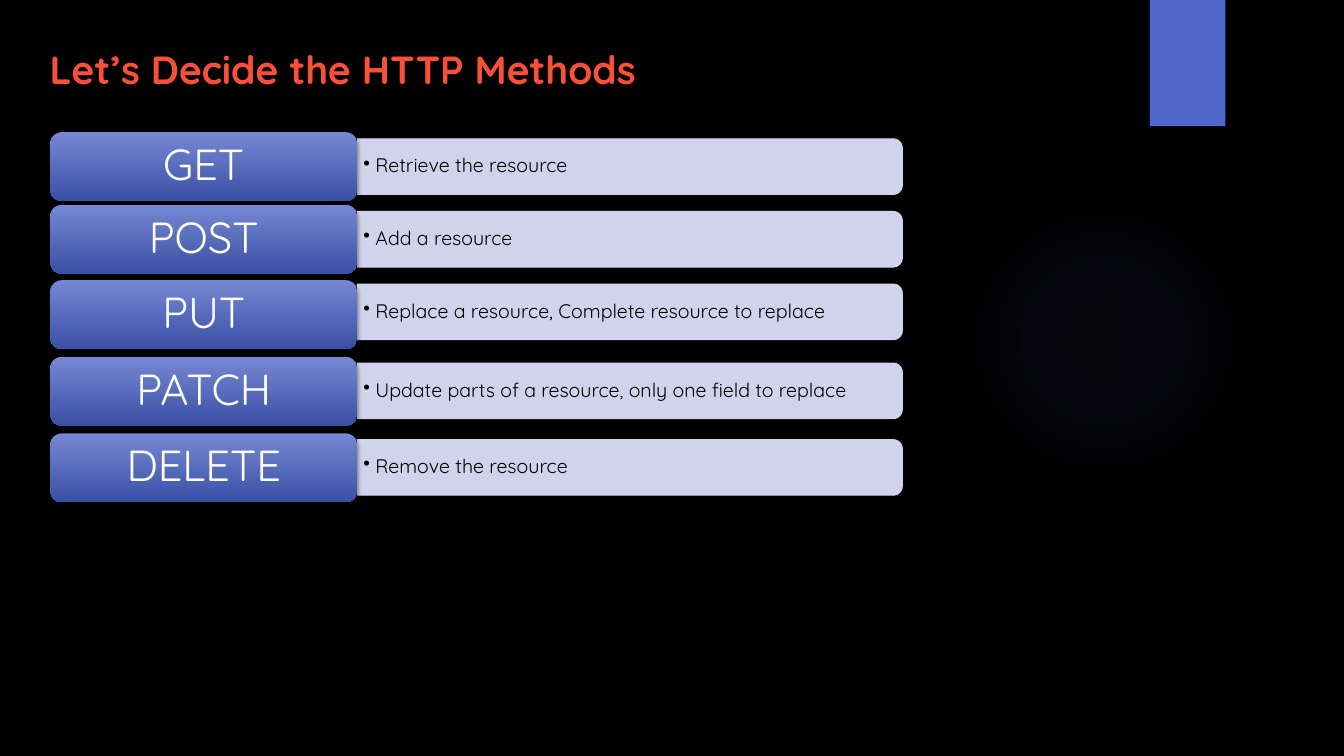
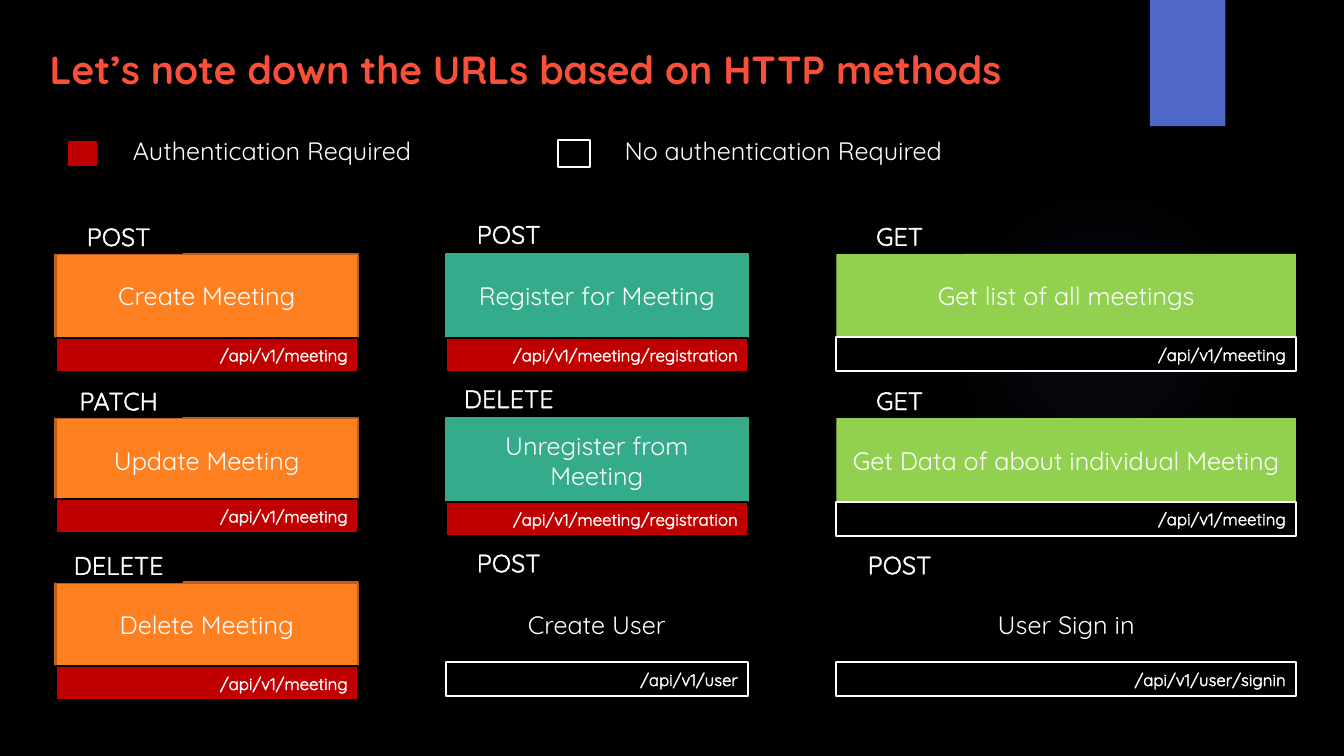
import math
from lxml import etree
from pptx import Presentation
from pptx import util as u
from pptx.dml.color import RGBColor
from pptx.enum import shapes, text
from pptx.oxml import parse_xml
from pptx.oxml.ns import qn

Cm, Pt = u.Cm, u.Pt
FONT = "Quicksand"
BLACK = RGBColor(0x00, 0x00, 0x00)
WHITE = RGBColor(0xFF, 0xFF, 0xFF)
CORAL = RGBColor(0xFA, 0x50, 0x3A)
BLUE = RGBColor(0x4E, 0x67, 0xC8)
GLOW = RGBColor(0x59, 0x68, 0xB0)
LIGHT = RGBColor(0x76, 0x88, 0xD3)
DARK = RGBColor(0x3A, 0x50, 0xA5)
PALE = RGBColor(0xD0, 0xD3, 0xEB)
ORANGE = RGBColor(0xFF, 0x80, 0x21)
RUST = RGBColor(0xBD, 0x5F, 0x18)
TEAL = RGBColor(0x34, 0xAC, 0x8B)
GREEN = RGBColor(0x92, 0xD0, 0x50)
RED = RGBColor(0xC0, 0x00, 0x00)

LEFT, MID, RIGHT = text.PP_ALIGN.LEFT, text.PP_ALIGN.CENTER, text.PP_ALIGN.RIGHT
RECT = shapes.MSO_SHAPE.RECTANGLE
OVAL = shapes.MSO_SHAPE.OVAL
ROUND = shapes.MSO_SHAPE.ROUNDED_RECTANGLE
NS = 'xmlns:a="http://schemas.openxmlformats.org/drawingml/2006/main"'

VERBS_TITLE = "Let’s Decide the HTTP Methods"
VERBS = [
    ("GET", "Retrieve the resource", 3.33, 3.5),
    ("POST", "Add a resource", 5.16, 5.33),
    ("PUT", "Replace a resource, Complete resource to replace", 7.06, 7.16),
    ("PATCH", "Update parts of a resource, only one field to replace", 8.99, 9.15),
    ("DELETE", "Remove the resource", 10.92, 11.08),
]

URLS_TITLE = "Let’s note down the URLs based on HTTP methods"
KEYS = [
    (1.68, "Authentication Required", True),
    (14.07, "No authentication Required", False),
]
COLS = [
    dict(x=1.4, w=7.62, lift=0.88, fill=ORANGE, edge=RUST, cells=[
        ("POST", "Create Meeting", "/api/v1/meeting", True, 2.11),
        ("PATCH", "Update Meeting", "/api/v1/meeting", True, 2.03),
        ("DELETE", "Delete Meeting", "/api/v1/meeting", True, 2.11)]),
    dict(x=11.23, w=7.62, lift=0.94, fill=TEAL, edge=TEAL, cells=[
        ("POST", "Register for Meeting", "/api/v1/meeting/registration", True, 2.11),
        ("DELETE", "Unregister from Meeting", "/api/v1/meeting/registration", True, 2.11),
        ("POST", "Create User", "/api/v1/user", False, 2.01)]),
    dict(x=21.08, w=11.58, lift=0.89, fill=GREEN, edge=None, cells=[
        ("GET", "Get list of all meetings", "/api/v1/meeting", False, 2.1),
        ("GET", "Get Data of about individual Meeting", "/api/v1/meeting", False, 2.1),
        ("POST", "User Sign in", "/api/v1/user/signin", False, 2.01)]),
]
TOP, STEP, TALL, THIN = 6.4, 4.14, 2.11, 0.86


def write(item, words, size, color=WHITE, align=LEFT, bold=False, rim=False):
    frame = item.text_frame
    frame.word_wrap = True
    frame.text = words
    para = frame.paragraphs[0]
    para.alignment = align
    run = para.runs[0]
    font = run.font
    font.name, font.size, font.bold = FONT, Pt(size), bold
    font.color.rgb = color
    if rim:
        font._element.insert(0, parse_xml(
            f'<a:ln {NS} w="9525"><a:solidFill><a:srgbClr val="{WHITE}"/></a:solidFill></a:ln>'))
    return para


def paint(item, fill, edge=None, width=1.5):
    item.shadow.inherit = False
    item.fill.solid()
    item.fill.fore_color.rgb = fill
    if edge is None:
        item.line.fill.background()
    else:
        item.line.color.rgb = edge
        item.line.width = Pt(width)
    return item


def shape(slide, kind, x, y, w, h, fill, edge=None):
    item = slide.shapes.add_shape(kind, Cm(x), Cm(y), Cm(w), Cm(h))
    item.text_frame.vertical_anchor = text.MSO_ANCHOR.MIDDLE
    return paint(item, fill, edge)


def label(slide, x, y, w, h, words, size, **look):
    write(slide.shapes.add_textbox(Cm(x), Cm(y), Cm(w), Cm(h)), words, size, **look)


def inset(item, side, edge):
    frame = item.text_frame
    frame.margin_left = frame.margin_right = Cm(side)
    frame.margin_top = frame.margin_bottom = Cm(edge)


def base(deck, title):
    slide = deck.slides.add_slide(deck.slide_layouts[6])
    back = slide.background.fill
    back.solid()
    back.fore_color.rgb = BLACK
    glow = shape(slide, OVAL, 23.9, 4.65, 7.82, 7.82, GLOW)
    stops = "".join(
        f'<a:gs pos="{at}000"><a:srgbClr val="{GLOW}"><a:alpha val="{see}000"/></a:srgbClr></a:gs>'
        for at, see in [(0, 7), (36, 6), (69, 0)])
    old = glow._element.spPr.find(qn("a:solidFill"))
    old.getparent().replace(old, parse_xml(
        f'<a:gradFill {NS}><a:gsLst>{stops}</a:gsLst><a:path path="circle">'
        '<a:fillToRect l="50000" t="50000" r="50000" b="50000"/></a:path></a:gradFill>'))
    shape(slide, RECT, 28.98, 0, 1.9, 3.18, BLUE)
    label(slide, 1, 1.02, 27.84, 1.85, title, 28, color=CORAL, bold=True)
    return slide


def bar(slide, x, y, w, h, words):
    rad = 0.23
    turns = [math.radians(a) for a in range(0, 91, 15)]
    upper = [(x + w - rad + rad * math.sin(t), y + rad - rad * math.cos(t)) for t in turns]
    lower = [(px, 2 * y + h - py) for px, py in reversed(upper)]
    pts = [(Cm(px), Cm(py)) for px, py in upper + lower + [(x, y + h)]]
    path = slide.shapes.build_freeform(Cm(x), Cm(y))
    path.add_line_segments(pts, close=True)
    item = paint(path.convert_to_shape(), PALE, PALE, 0.75)
    item.text_frame.vertical_anchor = text.MSO_ANCHOR.MIDDLE
    inset(item, 0.16, 0.16)
    para = write(item, words, 14, BLACK)
    para.line_spacing = 0.9
    props = para._p.get_or_add_pPr()
    props.set("marL", str(Cm(0.3)))
    props.set("indent", str(Cm(-0.3)))
    etree.SubElement(props, qn("a:buChar")).set("char", "•")


def tag(slide, x, y, w, h, words):
    item = shape(slide, ROUND, x, y, w, h, LIGHT)
    item.fill.gradient()
    item.fill.gradient_angle = 270
    for stop, color in zip(item.fill.gradient_stops, (LIGHT, DARK)):
        stop.color.rgb = color
    item._element.spPr.find(qn("a:effectLst")).append(parse_xml(
        f'<a:outerShdw {NS} blurRad="{Pt(3)}" dist="{Pt(2)}" dir="5400000" rotWithShape="0">'
        f'<a:srgbClr val="{BLACK}"><a:alpha val="45000"/></a:srgbClr></a:outerShdw>'))
    inset(item, 0.41, 0.25)
    write(item, words, 31, align=MID).line_spacing = 0.9


def marks(auth):
    return (RED, BLACK) if auth else (BLACK, WHITE)


def verbs(deck):
    slide = base(deck, VERBS_TITLE)
    for verb, use, y, low in VERBS:
        bar(slide, 9, low, 13.74, 1.4, use)
        tag(slide, 1.27, y, 7.73, 1.74, verb)


def urls(deck):
    slide = base(deck, URLS_TITLE)
    for x, words, auth in KEYS:
        shape(slide, RECT, x, 3.52, 0.79, 0.69, *marks(auth))
        label(slide, x + 1.42, 3.29, 9.2, 1.02, words, 18)
    for col in COLS:
        x, w = col["x"], col["w"]
        for row, (verb, name, url, auth, drop) in enumerate(col["cells"]):
            y = TOP + row * STEP
            user = "User" in name
            fill, edge = (BLACK, None) if user else (col["fill"], col["edge"])
            box = shape(slide, RECT, x, y, w, TALL, fill, edge)
            write(box, name, 18, align=MID)
            head = shape(slide, RECT, x, y - col["lift"], 3.18, THIN, BLACK, BLACK)
            write(head, verb, 18, align=MID, rim=True)
            foot = shape(slide, RECT, x, y + drop, w, THIN, *marks(auth))
            write(foot, url, 12, align=RIGHT, rim=True)


def main():
    deck = Presentation()
    deck.slide_width, deck.slide_height = Cm(33.87), Cm(19.05)
    verbs(deck)
    urls(deck)
    deck.save("out.pptx")


if __name__ == "__main__":
    main()
